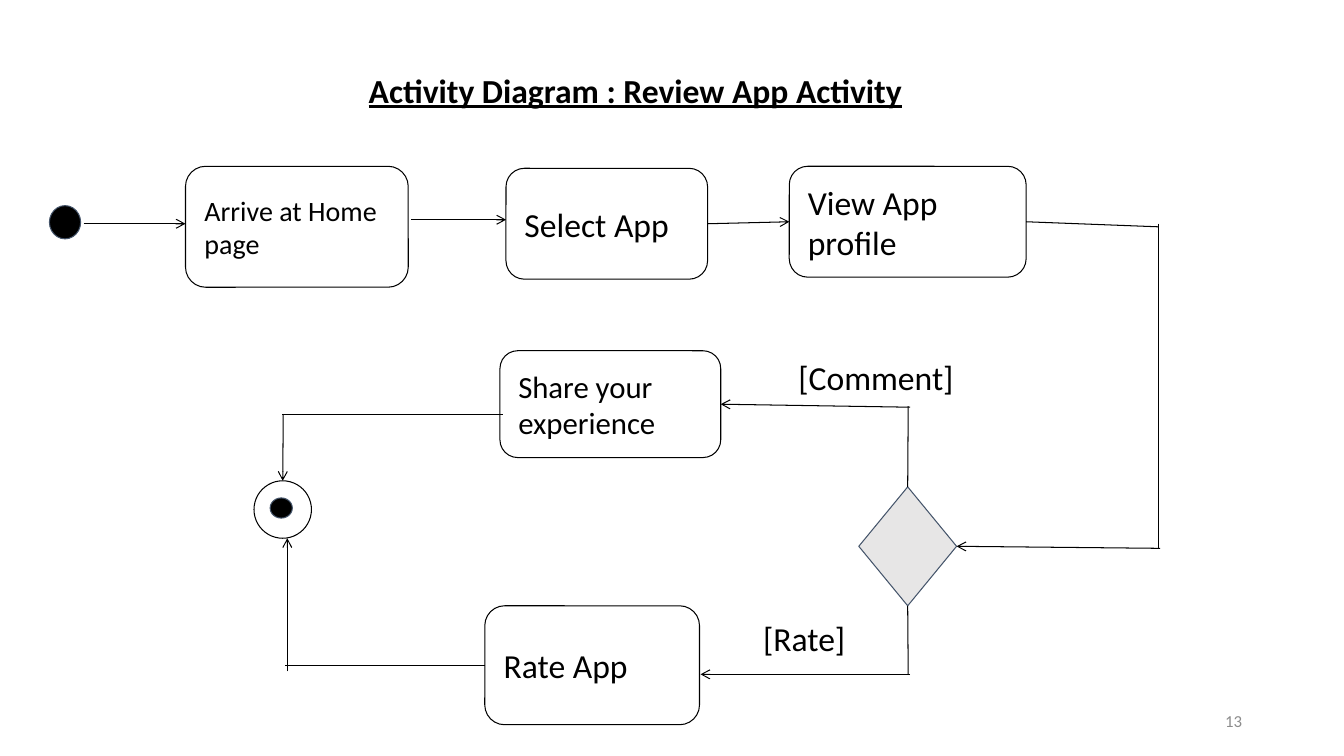
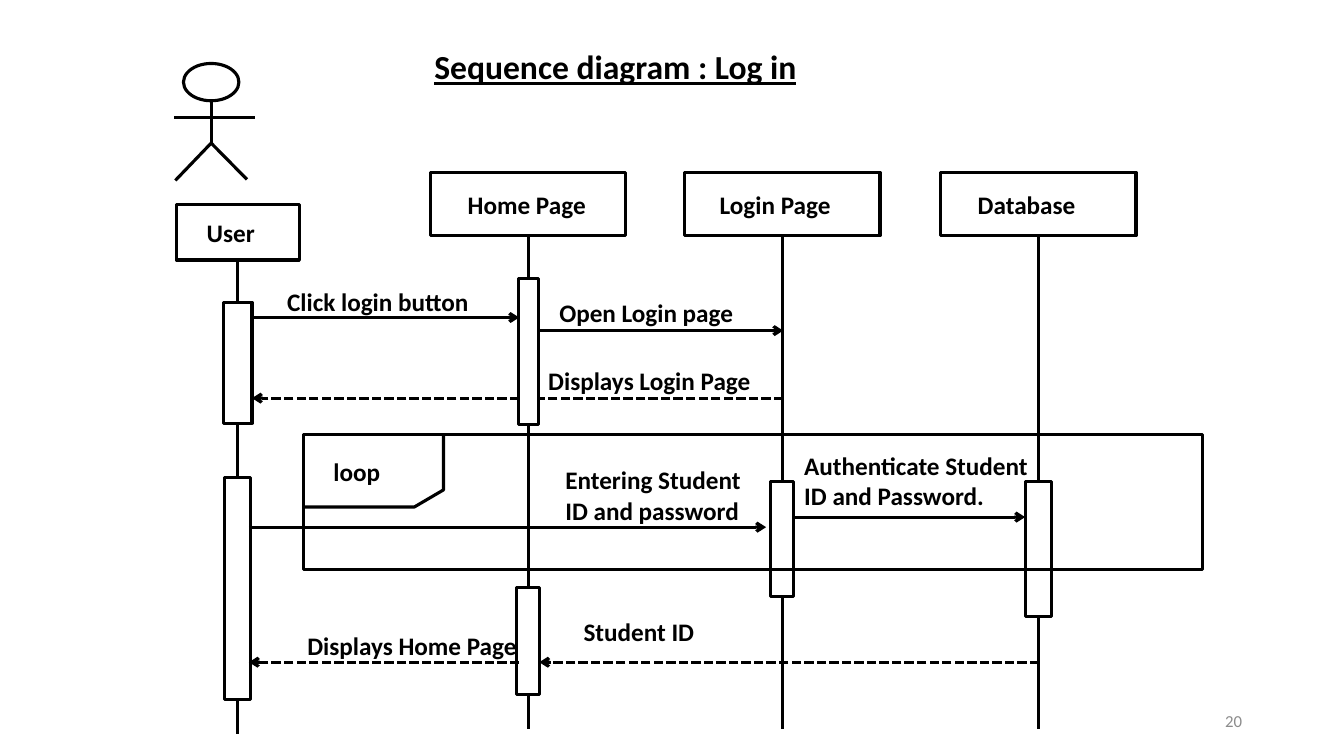
from lxml.etree import SubElement
from pptx import Presentation
from pptx.dml.color import RGBColor
from pptx.enum.dml import MSO_LINE
from pptx.enum.shapes import MSO_CONNECTOR, MSO_SHAPE
from pptx.enum.text import MSO_ANCHOR, PP_ALIGN
from pptx.oxml.ns import qn
from pptx.util import Inches, Pt

# Shared style; places are columns and rows of a grid of 0.1 inch cells
COLS, ROWS = 133.33, 75
CELL = Inches(0.1)
FONT = "Calibri"
INK, SLATE, GREY, PALE = "000000", "44546A", "8C8C8C", "E7E6E6"
THIN, THICK = 0.75, 2.25
TOP, LEFT, BOTTOM, RIGHT = range(4)


def grid(*cells):
    return [round(n * CELL) for n in cells]


def rgb(color):
    return RGBColor.from_string(color)


def write(shape, text, size, color=INK, bold=False, underline=False,
          align=PP_ALIGN.LEFT, anchor=MSO_ANCHOR.TOP, margins=(1, 0.5)):
    tf = shape.text_frame
    tf.word_wrap = True
    tf.vertical_anchor = anchor
    tf.margin_left, tf.margin_top = grid(*margins)
    tf.margin_right, tf.margin_bottom = grid(min(margins[0], 1.3), margins[1])
    tf.text = text
    p = tf.paragraphs[0]
    p.alignment = align
    font = p.runs[0].font
    font.name, font.size, font.color.rgb = FONT, Pt(size), rgb(color)
    font.bold, font.underline = bold, underline


def label(s, place, text, size, **style):
    write(s.shapes.add_textbox(*grid(*place)), text, size, **style)


def outline(shape, weight, fill=None, line=INK):
    shape.shadow.inherit = False
    if fill:
        shape.fill.solid()
        shape.fill.fore_color.rgb = rgb(fill)
    else:
        shape.fill.background()
    shape.line.color.rgb = rgb(line)
    shape.line.width = Pt(weight)
    return shape


def box(s, kind, place, weight, **colors):
    return outline(s.shapes.add_shape(kind, *grid(*place)), weight, **colors)


def link(s, start, end, weight, arrow=False, dashed=False):
    """Each end is a (column, row) point or a (shape, site) pair."""
    points = [(0, 0) if hasattr(e[0], "shape_type") else grid(*e)
              for e in (start, end)]
    c = s.shapes.add_connector(MSO_CONNECTOR.STRAIGHT, *points[0], *points[1])
    for e, join in ((start, c.begin_connect), (end, c.end_connect)):
        if hasattr(e[0], "shape_type"):
            join(*e)
    c.line.color.rgb = rgb(INK)
    c.line.width = Pt(weight)
    if dashed:
        c.line.dash_style = MSO_LINE.SQUARE_DOT
    if arrow:
        SubElement(c._element.spPr.find(qn("a:ln")), qn("a:tailEnd"),
                   type="arrow")
    SubElement(c._element.spPr, qn("a:effectLst"))


def new_slide(prs, title, place, number):
    s = prs.slides.add_slide(prs.slide_layouts[6])
    label(s, place, title, 24, bold=True, underline=True)
    label(s, (94.2, 69.5, 30, 4), number, 12, color=GREY,
          align=PP_ALIGN.RIGHT, anchor=MSO_ANCHOR.MIDDLE)
    return s


def activity(s, place, text, size=24):
    shape = box(s, MSO_SHAPE.ROUNDED_RECTANGLE, place, THIN)
    write(shape, text, size, anchor=MSO_ANCHOR.MIDDLE, margins=(1.3, 1.3))
    return shape


def activity_slide(prs):
    s = new_slide(prs, "Activity Diagram : Review App Activity",
                  (35.6, 6.4, 70.4, 5), "13")

    # Start, end and decision nodes
    box(s, MSO_SHAPE.OVAL, (4.9, 20.4, 3.1, 3.3), THIN, fill=INK, line=SLATE)
    finish = box(s, MSO_SHAPE.OVAL, (25.2, 47.7, 5.7, 5.7), THIN)
    box(s, MSO_SHAPE.OVAL, (26.8, 49.4, 2.2, 2), THIN, fill=INK, line=SLATE)
    choice = box(s, MSO_SHAPE.FLOWCHART_DECISION, (85.2, 48.3, 9.7, 11.8),
                 THIN, fill=PALE, line=SLATE)

    # Activities
    activity(s, (18.4, 16.5, 22.1, 12), "Arrive at Home page", 20)
    select = activity(s, (50.2, 16.7, 20, 11), "Select App")
    view = activity(s, (78.3, 16.5, 23.5, 11), "View App profile")
    share = activity(s, (49.6, 34.8, 21.9, 10.6), "Share your experience", 22)
    rate = activity(s, (48.1, 60.1, 21.3, 11.8), "Rate App")

    # Plain lines, then arrows
    for start, end in (((view, RIGHT), (114.9, 22.5)),
                       ((114.9, 22.2), (114.9, 54.4)),
                       ((choice, TOP), (90.1, 40.3)),
                       ((choice, BOTTOM), (90.1, 66.9)),
                       ((49.9, 41.1), (28, 41.1)),
                       ((rate, LEFT), (28.3, 66))):
        link(s, start, end, THIN)
    for start, end in (((8.3, 22.2), (18.4, 22.2)),
                       ((40.8, 21.8), (50.2, 21.8)),
                       ((select, RIGHT), (view, LEFT)),
                       ((115.1, 54.4), (choice, RIGHT)),
                       ((90.3, 40.4), (share, RIGHT)),
                       ((90.3, 66.9), (69.5, 66.9)),
                       ((28.1, 41.1), (finish, TOP)),
                       ((28.5, 66.6), (28.5, 53.4))):
        link(s, start, end, THIN, arrow=True)

    # Guards
    for place, text in (((77.9, 34.1, 23.9, 5.7), "[Comment]"),
                        ((74.4, 60, 13.2, 5.7), "[Rate]")):
        label(s, place, text, 24, margins=(1.3, 1.3))


def actor(s):
    box(s, MSO_SHAPE.OVAL, (18.2, 6.3, 5.5, 3.7), THICK)
    neck, hip = (20.95, 10), (20.95, 14.2)
    for start, end in ((neck, hip),
                       ((17.3, 11.7), (25.3, 11.7)),
                       (hip, (17.4, 17.9)),
                       (hip, (24.5, 17.8))):
        link(s, start, end, THICK)


def lifeline(s, name, center, head, bars, end, indent):
    """Head and bars are (row, width, height), all centred on one column."""
    def centered(row, width, height):
        place = (center - width / 2, row, width, height)
        return box(s, MSO_SHAPE.RECTANGLE, place, THICK)

    above = centered(*head)
    write(above, name, 18, bold=True, anchor=MSO_ANCHOR.MIDDLE,
          margins=(indent, 0.5))
    for bar in bars:
        below = centered(*bar)
        link(s, (above, BOTTOM), (below, TOP), THICK)
        above = below
    link(s, (above, BOTTOM), (center, end), THICK)


def loop_frame(s):
    left, top = 30.1, 43.1
    box(s, MSO_SHAPE.RECTANGLE, (left, top, 89.2, 13.4), THICK)
    builder = s.shapes.build_freeform(*grid(left + 13.9, top))
    corners = ((left + 13.9, 48.6), (left + 11, 50.3), (left, 50.3))
    builder.add_line_segments([grid(*c) for c in corners], close=False)
    outline(builder.convert_to_shape(), THICK)
    label(s, (32.1, 44.8, 20.9, 4), "loop", 18, bold=True)


def sequence_slide(prs):
    s = new_slide(prs, "Sequence diagram : Log in",
                  (42.1, 4.1, 70.2, 5), "20")
    actor(s)

    # Lifelines
    page = (17.1, 19.4, 6.3)
    for line in (
            ("User", 23.6, (20.3, 12.2, 5.5),
             [(30, 2.8, 12), (47.4, 2.6, 22)], 72.8, 3),
            ("Home Page", 52.4, page,
             [(27.6, 2, 14.5), (58.3, 2.3, 10.6)], 72.3, 3.7),
            ("Login Page", 77.6, page, [(47.8, 2.3, 11.4)], 72.3, 3.5),
            ("Database", 103, page, [(47.8, 2.6, 13.4)], 72.3, 3.7)):
        lifeline(s, *line)
    loop_frame(s)

    # Messages: row, from column, to column, arrow, dashed
    for row, start, end, arrow, dashed in (
            (31.5, 25, 51.5, True, False),
            (32.8, 53.5, 77.7, True, False),
            (39.5, 77.7, 53.5, False, True),
            (39.5, 51.5, 25, True, True),
            (52.3, 24.7, 76, True, False),
            (51.3, 78.6, 101.7, True, False),
            (65.7, 103.1, 53.5, True, True),
            (65.7, 51.5, 24.7, True, True)):
        link(s, (start, row), (end, row), THICK, arrow, dashed)

    # Message names
    for left, top, width, height, text in (
            (27.5, 27.9, 20.9, 4, "Click login button"),
            (54.5, 29, 19.4, 4, "Open Login page"),
            (53.4, 35.8, 24.2, 4, "Displays Login Page"),
            (55.1, 45.6, 20.9, 7.1, "Entering Student ID and password"),
            (78.8, 44.2, 24.2, 7.1, "Authenticate Student ID and Password."),
            (56.9, 60.7, 20.9, 4, "Student ID"),
            (29.5, 62, 24.9, 4, "Displays Home Page")):
        label(s, (left, top, width, height), text, 18, bold=True)


def main():
    prs = Presentation()
    prs.slide_width, prs.slide_height = grid(COLS, ROWS)
    activity_slide(prs)
    sequence_slide(prs)
    prs.save("out.pptx")


if __name__ == "__main__":
    main()
